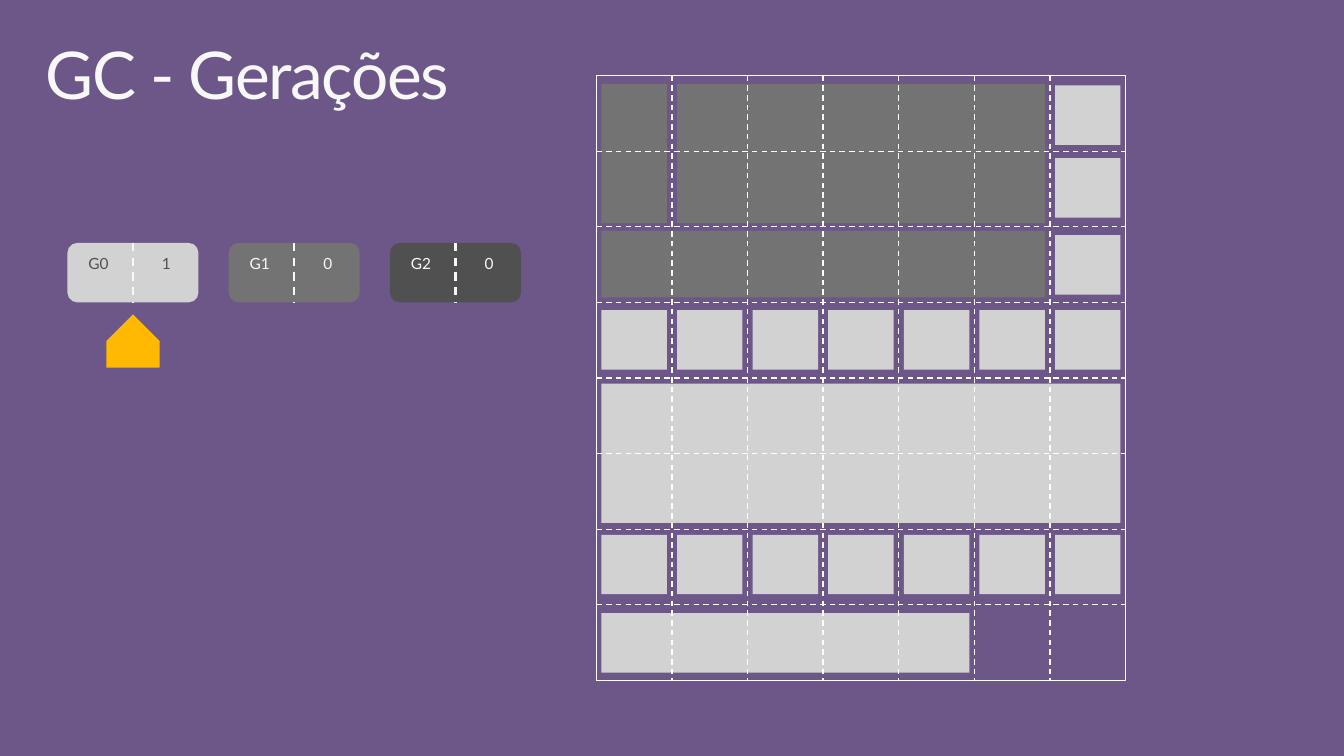
from lxml.etree import SubElement
from pptx import Presentation
from pptx.dml.color import RGBColor
from pptx.enum.dml import MSO_LINE_DASH_STYLE as Dash
from pptx.enum.shapes import MSO_CONNECTOR, MSO_SHAPE as Shape
from pptx.enum.text import MSO_ANCHOR as Anchor, PP_ALIGN as Align
from pptx.oxml.ns import qn
from pptx.util import Pt

PURPLE, WHITE, OFF_WHITE, AMBER = "32145A", "FFFFFF", "F8F8F8", "FFB900"
LIGHT, MIDDLE, DARK = "D2D2D2", "737373", "505050"

# Memory grid: square cells, with a gap between neighbouring blocks
CELL, COLUMNS, ROWS = 54, 7, 8
GRID_LEFT, GRID_TOP = 426, 54
GRID_WIDTH, GRID_HEIGHT = COLUMNS * CELL, ROWS * CELL
BLOCK_GAP, TILE_HEIGHT = 7.2, 42.5

# Generation cards: name, object count, fill, text colour
GENERATIONS = [("G0", "1", LIGHT, DARK), ("G1", "0", MIDDLE, OFF_WHITE), ("G2", "0", DARK, OFF_WHITE)]
CARD_LEFT, CARD_TOP, CARD_WIDTH, CARD_HEIGHT, CARD_STEP = 48.2, 173.5, 93.6, 42.5, 115.2


def color(hex_string):
    return RGBColor.from_string(hex_string)


def add_box(page, kind, left, top, width, height, fill=None, line=None, opacity=None):
    box = page.shapes.add_shape(kind, Pt(left), Pt(top), Pt(width), Pt(height))
    box.shadow.inherit = False
    if fill:
        box.fill.solid()
        box.fill.fore_color.rgb = color(fill)
    else:
        box.fill.background()
    if line:
        box.line.color.rgb = color(line)
        box.line.width = Pt(1)
    else:
        box.line.fill.background()
    if opacity:
        fill_color = box.fill._xPr.find(qn("a:solidFill"))[0]
        SubElement(fill_color, qn("a:alpha")).set("val", str(opacity * 1000))
    return box


def add_text(page, text, left, top, width, height, size, ink, inset, align=Align.LEFT, spacing=0):
    box = page.shapes.add_textbox(Pt(left), Pt(top), Pt(width), Pt(height))
    frame = box.text_frame
    frame.word_wrap = True
    frame.vertical_anchor = Anchor.TOP
    frame.margin_left = frame.margin_right = Pt(inset[0])
    frame.margin_top = frame.margin_bottom = Pt(inset[1])
    para = frame.paragraphs[0]
    para.alignment = align
    para.line_spacing = 0.9
    span = para.add_run()
    span.text = text
    span.font.name = "Lato"
    span.font.size = Pt(size)
    span.font.color.rgb = color(ink)
    if spacing:
        span.font._element.set("spc", str(spacing * 100))


def add_dashes(page, x1, y1, x2, y2, ink=WHITE, width=1):
    line = page.shapes.add_connector(MSO_CONNECTOR.STRAIGHT, Pt(x1), Pt(y1), Pt(x2), Pt(y2))
    line.line.color.rgb = color(ink)
    line.line.width = Pt(width)
    line.line.dash_style = Dash.DASH
    SubElement(line._element.spPr, qn("a:effectLst"))
    return line


def add_block(page, column, top, columns=1, height=TILE_HEIGHT, fill=LIGHT):
    left = GRID_LEFT + column * CELL + BLOCK_GAP / 2
    add_box(page, Shape.RECTANGLE, left, top, columns * CELL - BLOCK_GAP, height, fill)


def add_grid(page):
    right, bottom = GRID_LEFT + GRID_WIDTH, GRID_TOP + GRID_HEIGHT
    border = add_box(page, Shape.RECTANGLE, GRID_LEFT, GRID_TOP, GRID_WIDTH, GRID_HEIGHT, line=WHITE)
    for column in range(1, COLUMNS):
        x = GRID_LEFT + column * CELL
        add_dashes(page, x, GRID_TOP, x, bottom)
    for row in range(1, ROWS):
        y = GRID_TOP + row * CELL
        divider = add_dashes(page, GRID_LEFT, y, right, y)
        if row * 2 == ROWS:
            divider.begin_connect(border, 1)
            divider.end_connect(border, 3)


def add_generation(page, index, name, count, fill, ink):
    left = CARD_LEFT + index * CARD_STEP
    half = CARD_WIDTH / 2
    card = add_box(page, Shape.ROUNDED_RECTANGLE, left, CARD_TOP, CARD_WIDTH, CARD_HEIGHT, fill)
    for side, (text, align) in enumerate([(name, Align.LEFT), (count, Align.CENTER)]):
        add_text(page, text, left + 0.5 + side * half, CARD_TOP + 3.6, half, 35.3,
                 size=11, ink=ink, inset=(14.4, 5.8), align=align)
    middle = left + half
    divider = add_dashes(page, middle, CARD_TOP, middle, CARD_TOP + CARD_HEIGHT, OFF_WHITE, 1.5)
    divider.begin_connect(card, 0)
    divider.end_connect(card, 2)


def main():
    deck = Presentation()
    deck.slide_width, deck.slide_height = Pt(960), Pt(540)
    page = deck.slides.add_slide(deck.slide_layouts[6])

    # Background and title
    page.background.fill.solid()
    page.background.fill.fore_color.rgb = color(OFF_WHITE)
    add_box(page, Shape.RECTANGLE, 0, 0, 960, 540, PURPLE, opacity=70)
    add_text(page, "GC - Gerações", 21, 23, 918, 70.5, size=47, ink=OFF_WHITE,
             inset=(11.5, 7.2), spacing=-1)

    # Large memory blocks, under the grid lines
    add_block(page, 0, 438, columns=5)
    add_block(page, 0, 274, columns=7, height=99.5)
    add_block(page, 0, 60, height=99.5, fill=MIDDLE)
    add_block(page, 0, 165, columns=6, height=47.5, fill=MIDDLE)
    add_block(page, 1, 60, columns=5, height=99.5, fill=MIDDLE)
    add_grid(page)

    # Single-cell blocks: two full rows, then the last column
    for top in (221.5, 382):
        for column in range(COLUMNS):
            add_block(page, column, top)
    for top in (61, 113, 168):
        add_block(page, COLUMNS - 1, top)

    # Generation cards and the marker under the first one
    for index, generation in enumerate(GENERATIONS):
        add_generation(page, index, *generation)
    marker = add_box(page, Shape.PENTAGON, 76, 224.6, 38, 38, AMBER)
    marker.rotation = 270

    deck.save("out.pptx")


if __name__ == "__main__":
    main()
